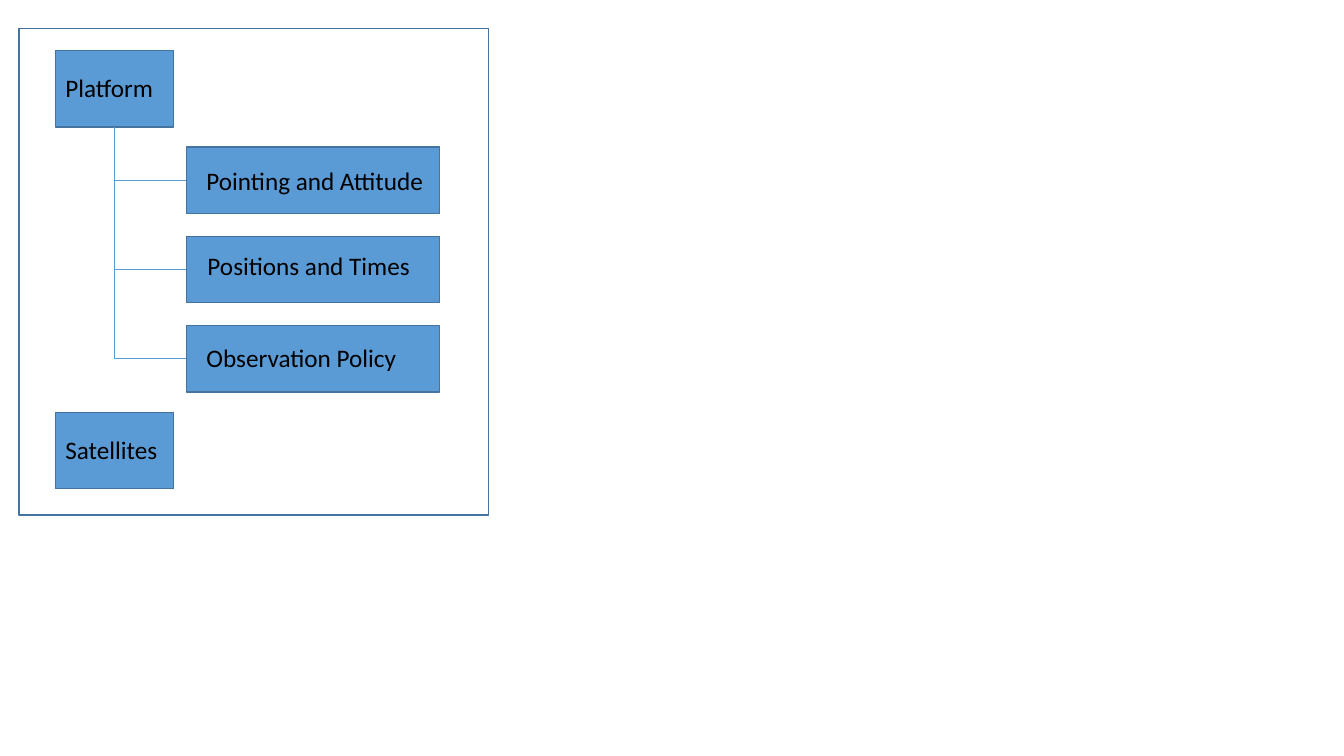
from pptx import Presentation
from pptx.dml.color import RGBColor
from pptx.enum.shapes import MSO_CONNECTOR, MSO_SHAPE
from pptx.enum.text import MSO_AUTO_SIZE
from pptx.oxml.ns import qn
from pptx.util import Pt
from lxml.etree import SubElement

COLORS = {"fill": "5B9BD5", "border": "43739E", "link": "5B9BD5", "text": "000000"}
GROUP_LEFT, GROUP_W, GROUP_H = 39.6, 84.2, 54.7
PART_LEFT, PART_TOP, PART_W, PART_H, PART_STEP = 133.2, 105.1, 180.7, 47.5, 63.7
# text, label offset right, label offset down, label width
PARTS = [
    ("Pointing and Attitude", 7.2, 9.4, 197.3),
    ("Positions and Times", 7.9, 6.5, 173.5),
    ("Observation Policy", 7.2, 8.6, 197.3),
]


def rgb(name):
    return RGBColor.from_string(COLORS[name])


def add_box(s, left, top, width, height, fill=None):
    box = s.shapes.add_shape(MSO_SHAPE.RECTANGLE, Pt(left), Pt(top), Pt(width), Pt(height))
    box.shadow.inherit = False
    if fill:
        box.fill.solid()
        box.fill.fore_color.rgb = rgb(fill)
    else:
        box.fill.background()
    box.line.color.rgb = rgb("border")
    box.line.width = Pt(1)
    return box


def add_label(s, text, left, top, width):
    tf = s.shapes.add_textbox(Pt(left), Pt(top), Pt(width), Pt(29)).text_frame
    tf.word_wrap = True
    tf.auto_size = MSO_AUTO_SIZE.SHAPE_TO_FIT_TEXT
    p = tf.paragraphs[0]
    p.text = text
    p.font.name = "Calibri"
    p.font.size = Pt(18)
    p.font.color.rgb = rgb("text")


def add_group(s, text, top):
    box = add_box(s, GROUP_LEFT, top, GROUP_W, GROUP_H, "fill")
    add_label(s, text, GROUP_LEFT, top + 12, 98.6)
    return box


def add_branch(s, part, group):
    """Join the left side of part to the bottom of group with a single bend."""
    link = s.shapes.add_connector(MSO_CONNECTOR.ELBOW, 0, 0, 0, 0)
    link.begin_connect(part, 1)
    link.end_connect(group, 2)
    link.line.color.rgb = rgb("link")
    link.line.width = Pt(0.5)
    sp_pr = link._element.spPr
    sp_pr.find(qn("a:prstGeom")).set("prst", "bentConnector2")
    xfrm = sp_pr.find(qn("a:xfrm"))
    for flip in ("flipH", "flipV"):
        xfrm.attrib.pop(flip, None)
    xfrm.set("rot", "10800000")
    SubElement(sp_pr, qn("a:effectLst"))


def main():
    prs = Presentation()
    prs.slide_width, prs.slide_height = Pt(960), Pt(540)
    s = prs.slides.add_slide(prs.slide_layouts[6])

    add_box(s, 13.7, 20.2, 335.5, 347.8)
    platform = add_group(s, "Platform", 36)
    for i, (text, dx, dy, width) in enumerate(PARTS):
        top = PART_TOP + i * PART_STEP
        part = add_box(s, PART_LEFT, top, PART_W, PART_H, "fill")
        add_label(s, text, PART_LEFT + dx, top + dy, width)
        add_branch(s, part, platform)
    add_group(s, "Satellites", 294.5)

    prs.save("out.pptx")


if __name__ == "__main__":
    main()
